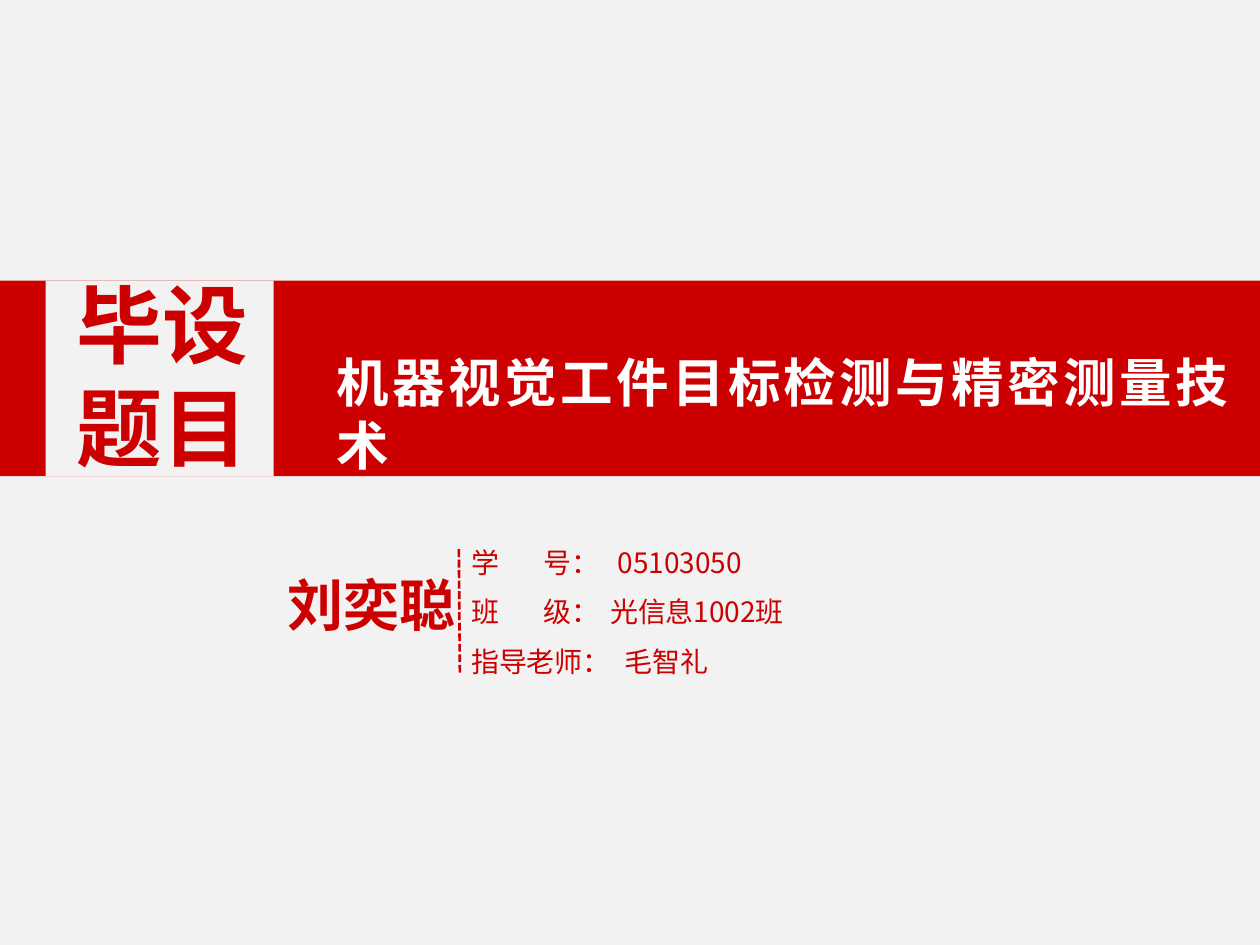
from dataclasses import dataclass

from lxml.etree import SubElement
from pptx import Presentation
from pptx.dml.color import RGBColor
from pptx.enum.dml import MSO_LINE
from pptx.enum.shapes import MSO_CONNECTOR, MSO_SHAPE
from pptx.enum.text import MSO_AUTO_SIZE, PP_ALIGN
from pptx.oxml.ns import qn
from pptx.util import Cm, Pt


@dataclass(frozen=True)
class Theme:
    red: RGBColor = RGBColor(0xCC, 0x00, 0x00)
    paper: RGBColor = RGBColor(0xF2, 0xF2, 0xF2)
    white: RGBColor = RGBColor(0xFF, 0xFF, 0xFF)
    font: str = "Noto Sans CJK SC"
    title_font: str = "Noto Sans CJK JP"
    badge_size: int = 49
    title_size: int = 30
    name_size: int = 32
    detail_size: int = 16


THEME = Theme()


def add_block(s, left, top, width, height, color):
    sp = s.shapes.add_shape(
        MSO_SHAPE.RECTANGLE, Cm(left), Cm(top), Cm(width), Cm(height)
    )
    sp.shadow.inherit = False
    sp.fill.solid()
    sp.fill.fore_color.rgb = color
    sp.line.fill.background()


def add_tabs(p, stops):
    tabs = SubElement(p._p.get_or_add_pPr(), qn("a:tabLst"))
    for stop in stops:
        SubElement(tabs, qn("a:tab"), pos=str(Cm(stop)), algn="l")


def add_text(s, left, top, width, height, text, size, color=THEME.red,
             font=THEME.font, bold=True, wrap=True, align=None, stops=()):
    sp = s.shapes.add_textbox(Cm(left), Cm(top), Cm(width), Cm(height))
    tf = sp.text_frame
    tf.text = text
    tf.word_wrap = wrap
    tf.auto_size = MSO_AUTO_SIZE.SHAPE_TO_FIT_TEXT
    for p in tf.paragraphs:
        p.alignment = align
        if stops:
            add_tabs(p, stops)
        for r in p.runs:
            r.font.size = Pt(size)
            r.font.bold = bold
            r.font.color.rgb = color
            r.font.name = font
            SubElement(r._r.get_or_add_rPr(), qn("a:ea"), typeface=font)


def add_divider(s, x1, y1, x2, y2):
    cn = s.shapes.add_connector(
        MSO_CONNECTOR.STRAIGHT, Cm(x1), Cm(y1), Cm(x2), Cm(y2)
    )
    cn.line.color.rgb = THEME.red
    cn.line.width = Pt(1.5)
    cn.line.dash_style = MSO_LINE.SQUARE_DOT
    SubElement(cn._element.spPr, qn("a:effectLst"))


def add_details(s, left, top, pitch):
    rows = [
        ("学\t号：\t05103050", 6.73, (1.45, 2.95)),
        ("班\t级：\t光信息1002班", 7.44, (1.45, 2.8)),
        ("指导老师：\t毛智礼", 6.73, (3.1,)),
    ]
    for i, (text, width, stops) in enumerate(rows):
        add_text(s, left, top + i * pitch, width, 0.94, text,
                 THEME.detail_size, bold=False, stops=stops)


def main():
    prs = Presentation()
    prs.slide_width, prs.slide_height = Cm(25.4), Cm(19.05)
    s = prs.slides.add_slide(prs.slide_layouts[6])
    s.background.fill.solid()
    s.background.fill.fore_color.rgb = THEME.paper

    add_block(s, 0, 5.66, 25.4, 3.94, THEME.red)
    add_block(s, 0.92, 5.66, 4.6, 3.94, THEME.paper)
    add_text(s, 1.3, 5.36, 4.42, 4.42, "毕设\n题目", THEME.badge_size)
    add_text(s, 6.53, 6.93, 18.49, 1.52, "机器视觉工件目标检测与精密测量技术",
             THEME.title_size, THEME.white, THEME.title_font,
             wrap=False, align=PP_ALIGN.JUSTIFY)
    add_text(s, 5.54, 11.38, 4.11, 1.63, "刘奕聪", THEME.name_size)
    add_divider(s, 9.25, 11.07, 9.27, 13.56)
    add_details(s, 9.25, 10.87, 1)
    prs.save("out.pptx")


if __name__ == "__main__":
    main()
